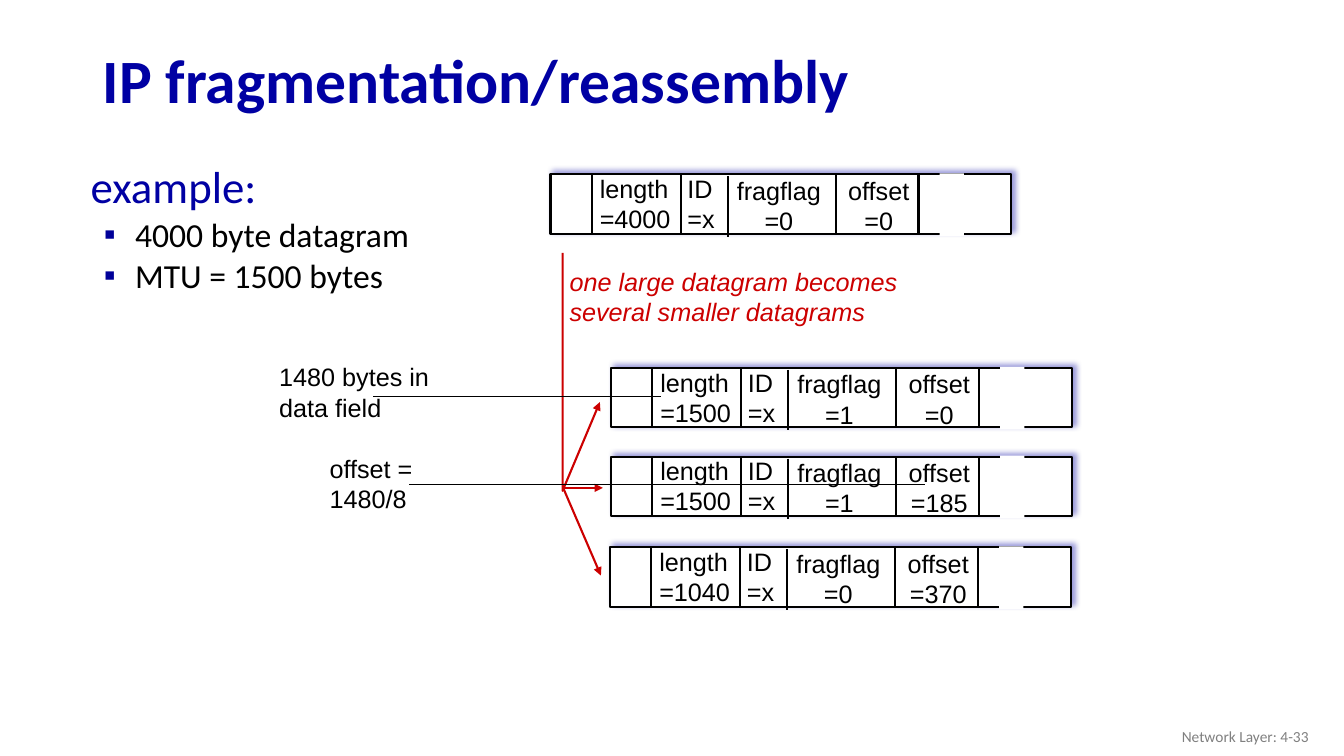
from lxml.etree import SubElement
from pptx import Presentation
from pptx.dml.color import RGBColor
from pptx.enum.shapes import MSO_CONNECTOR, MSO_SHAPE
from pptx.enum.text import MSO_ANCHOR, MSO_AUTO_SIZE, PP_ALIGN
from pptx.oxml.ns import qn
from pptx.util import Emu, Pt

PX = 9144  # EMU per px, 100 px to the inch
NAVY, BULLET, RED = "0000A3", "000099", "CC0000"
BLACK, WHITE, GRAY = "000000", "FFFFFF", "808080"

# Datagrams: left, top, length, fragflag, offset
DATAGRAMS = [
    (546, 173, 4000, 0, 0),
    (606, 365, 1500, 1, 0),
    (606, 453, 1500, 1, 185),
    (605, 543, 1040, 0, 370),
]
# Field dividers inside a datagram: x and y relative to its corner
DIVIDERS = [(41, 0), (129, 0), (176, 2), (283, 0), (365, 0)]


def px(*lengths):
    return [Emu(length * PX) for length in lengths]


def color(hex_string):
    return RGBColor.from_string(hex_string)


def set_font(paragraph, size, hex_string, name="Arial", bold=False, italic=False):
    font = paragraph.font
    font.name, font.size = name, Pt(size)
    font.bold, font.italic = bold, italic
    font.color.rgb = color(hex_string)


def add_text(slide, box, text, hex_string=BLACK, align=PP_ALIGN.LEFT, italic=False):
    frame = slide.shapes.add_textbox(*px(*box)).text_frame
    frame.word_wrap = False
    frame.auto_size = MSO_AUTO_SIZE.SHAPE_TO_FIT_TEXT
    frame.text = text
    for paragraph in frame.paragraphs:
        paragraph.alignment = align
        set_font(paragraph, 18, hex_string, italic=italic)


def add_arrowhead(shape):
    SubElement(shape.line._get_or_add_ln(), qn("a:tailEnd"), type="triangle")


def add_line(slide, start, end, hex_string=BLACK, width=1.5, arrow=False):
    line = slide.shapes.add_connector(MSO_CONNECTOR.STRAIGHT, *px(*start, *end))
    line.line.color.rgb = color(hex_string)
    line.line.width = Pt(width)
    if arrow:
        add_arrowhead(line)
    SubElement(line._element.spPr, qn("a:effectLst"))


def add_rectangle(slide, box, outlined):
    shape = slide.shapes.add_shape(MSO_SHAPE.RECTANGLE, *px(*box))
    shape.fill.solid()
    shape.fill.fore_color.rgb = color(WHITE)
    if outlined:
        shape.line.color.rgb = color(BLACK)
        shape.line.width = Pt(1.5)
    else:
        shape.line.fill.background()
    shape.shadow.inherit = False
    return shape


def add_glow_shadow(shape):
    effects = shape._element.spPr.find(qn("a:effectLst"))
    shadow = SubElement(effects, qn("a:outerShdw"), blurRad=str(Pt(4)), dist=str(Pt(3)),
                        dir=str(315 * 60000), algn="ctr", rotWithShape="0")
    tint = SubElement(shadow, qn("a:srgbClr"), val=NAVY)
    SubElement(tint, qn("a:alpha"), val="40000")


def add_datagram(slide, left, top, length, fragflag, offset):
    add_glow_shadow(add_rectangle(slide, (left, top, 457, 59), outlined=True))
    # Header fields: x, y, width, text, alignment
    fields = [
        (126, -6, 49, "ID\n=x", PP_ALIGN.LEFT),
        (283, -4, 85, f"offset\n={offset}", PP_ALIGN.CENTER),
        (171, -4, 111, f"fragflag\n={fragflag}", PP_ALIGN.CENTER),
        (39, -6, 92, f"length\n={length}", PP_ALIGN.LEFT),
    ]
    for x, y, width, text, align in fields:
        add_text(slide, (left + x, top + y, width, 70), text, align=align)
    for x, y in DIVIDERS:
        add_line(slide, (left + x, top + y), (left + x, top + y + 60))
    # Break in the data field
    add_rectangle(slide, (left + 386, top - 1, 24, 62), outlined=False)


def add_split_arrows(slide):
    builder = slide.shapes.build_freeform(558, 251, scale=PX)
    builder.add_line_segments([(558, 487), (595, 399)], close=False)
    trunk = builder.convert_to_shape()
    trunk.fill.background()
    trunk.line.color.rgb = color(RED)
    trunk.line.width = Pt(1.5)
    trunk.shadow.inherit = False
    add_arrowhead(trunk)
    add_line(slide, (558, 484), (598, 484), RED, arrow=True)
    add_line(slide, (559, 485), (596, 571), RED, arrow=True)


def place(placeholder, box):
    placeholder.left, placeholder.top, placeholder.width, placeholder.height = px(*box)
    placeholder.text_frame.auto_size = MSO_AUTO_SIZE.NONE
    return placeholder.text_frame


def fill_title(slide):
    frame = place(slide.shapes.title, (92, 34, 1150, 98))
    frame.text = "IP fragmentation/reassembly"
    frame.vertical_anchor = MSO_ANCHOR.MIDDLE
    paragraph = frame.paragraphs[0]
    paragraph.alignment = PP_ALIGN.LEFT
    paragraph.line_spacing = 0.9
    set_font(paragraph, 44, NAVY, "Calibri", bold=True)


def fill_example(slide):
    frame = place(slide.placeholders[1], (80, 161, 416, 184))
    frame.text = "example:\n4000 byte datagram\nMTU = 1500 bytes"
    for index, paragraph in enumerate(frame.paragraphs):
        size, hex_string = (24, BLACK) if index else (32, NAVY)
        set_font(paragraph, size, hex_string, "Calibri")
        paragraph.line_spacing = 0.85
        paragraph.space_before = Pt(size * 0.2)
        properties = paragraph._p.get_or_add_pPr()
        margin, indent = px(44, -31) if index else px(0, 0)
        properties.set("marL", str(margin))
        properties.set("indent", str(indent))
        # The bullet goes ahead of the default run properties
        if index:
            bullet_color = SubElement(properties, qn("a:buClr"))
            SubElement(bullet_color, qn("a:srgbClr"), val=BULLET)
            bullet = [bullet_color,
                      SubElement(properties, qn("a:buFont"), typeface="Arial"),
                      SubElement(properties, qn("a:buChar"), char="▪")]
        else:
            bullet = [SubElement(properties, qn("a:buNone"))]
        run_defaults = properties.find(qn("a:defRPr"))
        for element in bullet:
            run_defaults.addprevious(element)


def add_footer(slide):
    frame = slide.shapes.add_textbox(*px(1008, 711, 300, 40)).text_frame
    frame.word_wrap = True
    frame.vertical_anchor = MSO_ANCHOR.MIDDLE
    frame.text = "Network Layer: 4-33"
    frame.paragraphs[0].alignment = PP_ALIGN.RIGHT
    set_font(frame.paragraphs[0], 11, GRAY, "Calibri")


def main():
    presentation = Presentation()
    presentation.slide_width, presentation.slide_height = px(1333, 750)
    slide = presentation.slides.add_slide(presentation.slide_layouts[1])

    fill_title(slide)
    add_footer(slide)

    # The large datagram and its fragments
    for datagram in DATAGRAMS:
        add_datagram(slide, *datagram)
    add_split_arrows(slide)
    add_text(slide, (555, 259, 345, 70),
             "one large datagram becomes\nseveral smaller datagrams", RED, italic=True)

    fill_example(slide)

    # Notes on the fragments, with their leader lines
    add_text(slide, (267, 354, 176, 70), "1480 bytes in\vdata field")
    add_text(slide, (317, 445, 103, 70), "offset =\n1480/8")
    add_line(slide, (370, 393), (656, 393), width=0.75)
    add_line(slide, (917, 481), (406, 481), width=0.75)

    presentation.save("out.pptx")


if __name__ == "__main__":
    main()
